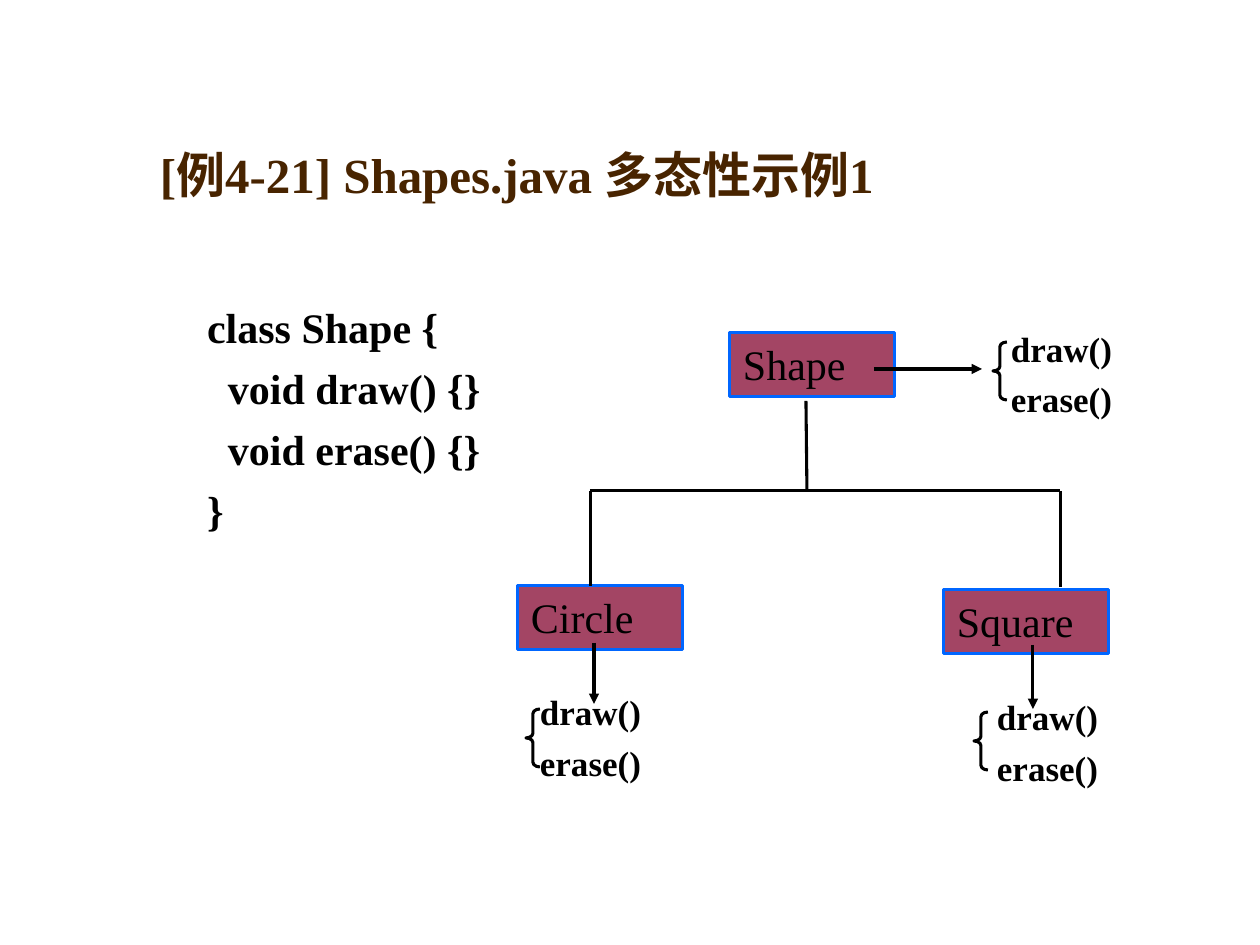
from pptx import Presentation
from pptx.dml.color import RGBColor
from pptx.enum.shapes import MSO_CONNECTOR, MSO_SHAPE
from pptx.enum.text import MSO_ANCHOR, PP_ALIGN
from pptx.oxml.ns import qn
from pptx.util import Pt
from lxml import etree

RECT, BRACE = MSO_SHAPE.RECTANGLE, MSO_SHAPE.LEFT_BRACE
LINE = MSO_CONNECTOR.STRAIGHT
TOP, LOW = MSO_ANCHOR.TOP, MSO_ANCHOR.BOTTOM
LEFT = PP_ALIGN.LEFT

PX = 914400 // 126
FONT = "Times New Roman"
COLORS = {"title": "482400", "ink": "000000", "fill": "A34564", "edge": "0066FF"}

# Content
TITLE = "[例4-21] Shapes.java 多态性示例1"
CODE = ["class Shape {", "  void draw() {}", "  void erase() {}", "}"]
METHODS = ["draw()", "erase()"]

# Class name, box corner, brace corner, method list corner
CLASSES = [
    ("Shape", (730, 333), (993, 342), (998, 321)),
    ("Circle", (518, 586), (526, 709), (527, 685)),
    ("Square", (944, 590), (974, 712), (984, 690)),
]
BOX, CURLY, LIST = (165, 64), (14, 58), (128, 106)

# Start, end of each line
TREE = [
    ((806, 401), (807, 490)),
    ((590, 491), (1060, 491)),
    ((591, 491), (591, 586)),
    ((1061, 491), (1061, 587)),
]
ARROWS = [
    ((874, 369), (982, 369)),
    ((594, 643), (594, 704)),
    ((1033, 645), (1033, 709)),
]


def color(name):
    return RGBColor.from_string(COLORS[name])


def emu(*vals):
    return [v * PX for v in vals]


def write(shape, lines, size, bold=True, ink="ink", gap=0, anchor=TOP, wrap=False):
    frame = shape.text_frame
    frame.word_wrap = wrap
    frame.vertical_anchor = anchor
    frame.margin_left = frame.margin_right = 13 * PX
    frame.margin_top = frame.margin_bottom = 6 * PX
    for i, line in enumerate(lines):
        para = frame.paragraphs[0] if i == 0 else frame.add_paragraph()
        para.alignment = LEFT
        if i:
            para.space_before = Pt(gap)
        run = para.add_run()
        run.text = line
        font = run.font
        font.name, font.size, font.bold = FONT, Pt(size), bold
        font.color.rgb = color(ink)


def stroke(shape, name):
    shape.line.color.rgb = color(name)
    shape.line.width = Pt(1.75)


def link(start, end, arrow=False):
    line = slide.shapes.add_connector(LINE, *emu(*start, *end))
    stroke(line, "ink")
    if arrow:
        etree.SubElement(line.get_or_add_ln(), qn("a:tailEnd"), type="triangle")
    etree.SubElement(line._element.spPr, qn("a:effectLst"))


prs = Presentation()
prs.slide_width, prs.slide_height = emu(1260, 945)
slide = prs.slides.add_slide(prs.slide_layouts[6])
shapes = slide.shapes

# Title and code
title = shapes.add_textbox(*emu(147, 51, 1071, 158))
write(title, [TITLE], 28, ink="title", anchor=LOW, wrap=True)
write(shapes.add_textbox(*emu(194, 296, 309, 239)), CODE, 24, gap=6)

# Classes with their methods
for name, spot, curl, label in CLASSES:
    box = shapes.add_shape(RECT, *emu(*spot, *BOX))
    box.shadow.inherit = False
    box.fill.solid()
    box.fill.fore_color.rgb = color("fill")
    stroke(box, "edge")
    write(box, [name], 24, bold=False, wrap=True)

    brace = shapes.add_shape(BRACE, *emu(*curl, *CURLY))
    brace.shadow.inherit = False
    brace.fill.background()
    brace.adjustments[0] = 0.33
    stroke(brace, "ink")

    write(shapes.add_textbox(*emu(*label, *LIST)), METHODS, 20, gap=5)

# Tree lines and arrows
for start, end in TREE:
    link(start, end)
for start, end in ARROWS:
    link(start, end, arrow=True)

prs.save("out.pptx")
